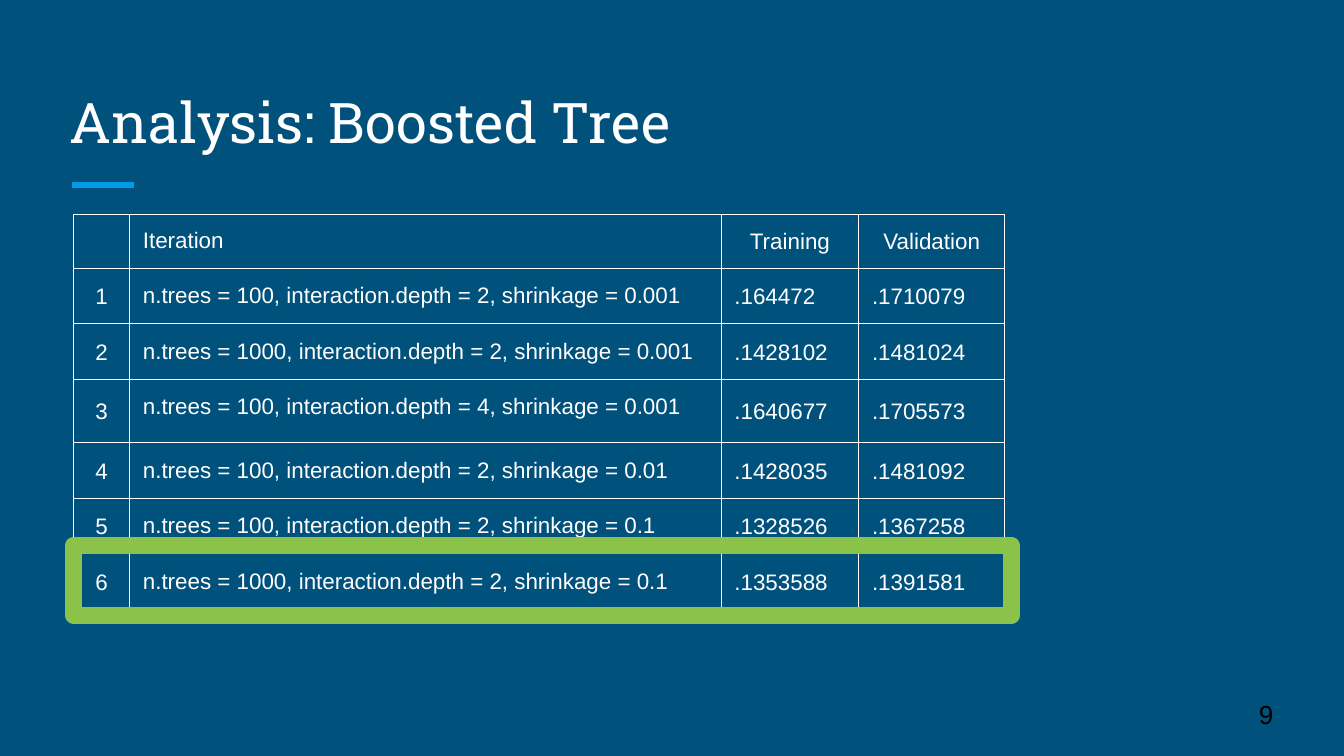
import pptx
import pptx.dml.color
import pptx.enum.shapes
import pptx.enum.text
import pptx.oxml
import pptx.oxml.ns
import pptx.util
from pptx.util import Cm

ALIGN = pptx.enum.text.PP_ALIGN
ANCHOR = pptx.enum.text.MSO_ANCHOR
INSET = Cm(0.25)
HEADER = ["", "Iteration", "Training", "Validation"]
ITERATIONS = [
    (100, 2, "0.001", ".164472", ".1710079"),
    (1000, 2, "0.001", ".1428102", ".1481024"),
    (100, 4, "0.001", ".1640677", ".1705573"),
    (100, 2, "0.01", ".1428035", ".1481092"),
    (100, 2, "0.1", ".1328526", ".1367258"),
    (1000, 2, "0.1", ".1353588", ".1391581"),
]


def rgb(value):
    return pptx.dml.color.RGBColor.from_string(value)


def write(tf, text, size=12, font="Arial", color="FFFFFF", align=ALIGN.LEFT,
          spacing=None, after=0):
    p = tf.paragraphs[0]
    p.alignment = align
    p.line_spacing = spacing
    p.space_after = pptx.util.Pt(after)
    r = p.add_run()
    r.text = text
    r.font.size = pptx.util.Pt(size)
    r.font.name = font
    r.font.color.rgb = rgb(color)


class Deck:
    white = "FFFFFF"
    accent = "039BE5"
    highlight = "8BC34A"

    def __init__(self, prs, background):
        self.s = prs.slides.add_slide(prs.slide_layouts[6])
        fill = self.s.background.fill
        fill.solid()
        fill.fore_color.rgb = rgb(background)

    def text(self, x, y, w, h, text, anchor=ANCHOR.MIDDLE, **style):
        tf = self.s.shapes.add_textbox(Cm(x), Cm(y), Cm(w), Cm(h)).text_frame
        tf.word_wrap = True
        tf.vertical_anchor = anchor
        tf.margin_left = tf.margin_right = INSET
        tf.margin_top = tf.margin_bottom = INSET
        write(tf, text, **style)

    def rule(self, x, y, w, width=3):
        sp = self.s.shapes.add_connector(
            pptx.enum.shapes.MSO_CONNECTOR.STRAIGHT, Cm(x), Cm(y), Cm(x + w), Cm(y))
        sp.line.color.rgb = rgb(self.accent)
        sp.line.width = pptx.util.Pt(width)
        pptx.oxml.ns.qn("a:effectLst")
        sp._element.spPr.append(pptx.oxml.parse_xml(
            f'<a:effectLst {pptx.oxml.ns.nsdecls("a")}/>'))

    def frame(self, x, y, w, h, width=9):
        sp = self.s.shapes.add_shape(
            pptx.enum.shapes.MSO_SHAPE.RECTANGLE, Cm(x), Cm(y), Cm(w), Cm(h))
        sp.shadow.inherit = False
        sp.fill.background()
        sp.line.color.rgb = rgb(self.highlight)
        sp.line.width = pptx.util.Pt(width)

    def border(self, cell, width=0.75):
        tcPr = cell._tc.get_or_add_tcPr()
        for side in "LRTB":
            tcPr.append(pptx.oxml.parse_xml(
                f'<a:ln{side} {pptx.oxml.ns.nsdecls("a")} w="{pptx.util.Pt(width)}">'
                f'<a:solidFill><a:srgbClr val="{self.white}"/></a:solidFill>'
                f'</a:ln{side}>'))

    def table(self, x, y, widths, heights, rows):
        table = self.s.shapes.add_table(
            len(rows), len(widths), Cm(x), Cm(y),
            Cm(sum(widths)), Cm(sum(heights))).table
        table.first_row = table.horz_banding = False
        for column, width in zip(table.columns, widths):
            column.width = Cm(width)
        for row, height in zip(table.rows, heights):
            row.height = Cm(height)
        for i, values in enumerate(rows):
            for j, value in enumerate(values):
                self.cell(table.cell(i, j), value, i == 0, j)

    def cell(self, cell, value, header, column):
        self.border(cell)
        cell.fill.background()
        cell.vertical_anchor = ANCHOR.TOP if column == 1 else ANCHOR.MIDDLE
        cell.margin_left = cell.margin_right = INSET
        cell.margin_top = cell.margin_bottom = INSET if value else 0
        if not value:
            return
        centred = column == 0 or (header and column > 1)
        body = {} if header else {"spacing": 1.08, "after": 8}
        write(cell.text_frame, value,
              align=ALIGN.CENTER if centred else ALIGN.LEFT, **body)


def main():
    prs = pptx.Presentation()
    prs.slide_width, prs.slide_height = Cm(25.4), Cm(14.29)
    deck = Deck(prs, "00517C")
    deck.rule(1.36, 3.5, 1.18)
    deck.text(1.07, 1.27, 23.24, 1.9, "Analysis: Boosted Tree",
              anchor=ANCHOR.BOTTOM, size=30, font="Roboto Slab")
    rows = [HEADER] + [
        [str(n), f"n.trees = {trees}, interaction.depth = {depth}, shrinkage = {rate}",
         training, validation]
        for n, (trees, depth, rate, training, validation) in enumerate(ITERATIONS, 1)]
    deck.table(1.39, 4.06, [1.06, 11.18, 2.6, 2.76],
               [0.98, 1.01, 1.01, 1.2, 1.03, 1.01, 1.01], rows)
    deck.text(23.54, 12.95, 1.52, 1.09, "9", size=14, color="000000")
    deck.frame(1.39, 10.31, 17.73, 1.32)
    prs.save("out.pptx")


if __name__ == "__main__":
    main()
